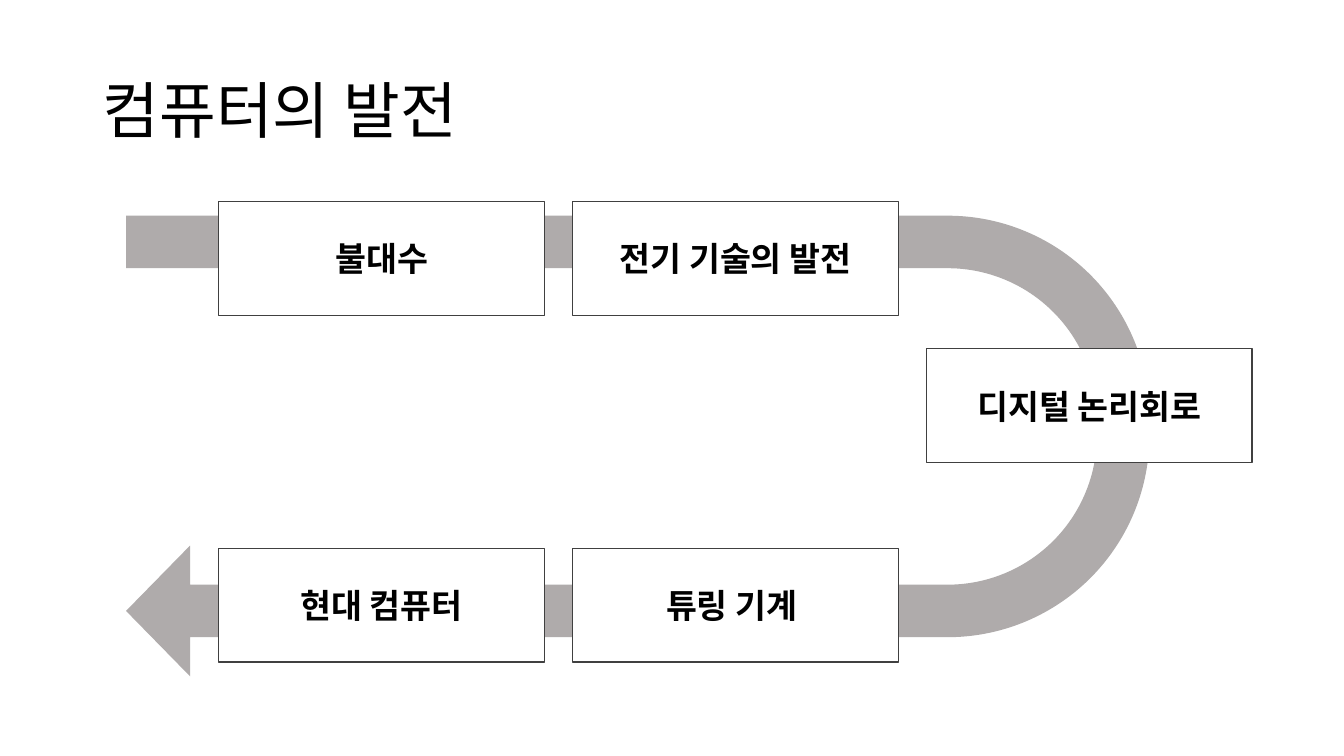
from lxml import etree
from pptx import Presentation
from pptx.dml.color import RGBColor
from pptx.enum.shapes import MSO_SHAPE
from pptx.enum.text import MSO_ANCHOR, MSO_AUTO_SIZE, PP_ALIGN
from pptx.oxml.ns import qn
from pptx.util import Inches, Pt

LEFT, CENTER = PP_ALIGN.LEFT, PP_ALIGN.CENTER
MIDDLE = MSO_ANCHOR.MIDDLE
NO_AUTOFIT = MSO_AUTO_SIZE.NONE
RECTANGLE, UTURN_ARROW = MSO_SHAPE.RECTANGLE, MSO_SHAPE.U_TURN_ARROW

FONT = "Noto Sans CJK KR"
TITLE_ONLY = 5


def color(hex_value):
    return RGBColor.from_string(hex_value)


def write(shape, text, size=24, bold=False, align=CENTER, spacing=1.0):
    frame = shape.text_frame
    frame.word_wrap = True
    frame.auto_size = NO_AUTOFIT
    frame.vertical_anchor = MIDDLE
    paragraph = frame.paragraphs[0]
    paragraph.alignment = align
    paragraph.line_spacing = spacing
    run = paragraph.add_run()
    run.text = text
    run.font.size = Pt(size)
    run.font.bold = bold
    run.font.color.rgb = color("000000")
    run.font.name = FONT
    # Korean glyphs take the East Asian font
    etree.SubElement(run.font._element, qn("a:ea"), typeface=FONT)


deck = Presentation()
deck.slide_width, deck.slide_height = Inches(13.33), Inches(7.5)
slide = deck.slides.add_slide(deck.slide_layouts[TITLE_ONLY])

# Title
title = slide.shapes.title
title.left, title.top = Inches(0.92), Inches(0.4)
title.width, title.height = Inches(11.5), Inches(1.45)
write(title, "컴퓨터의 발전", size=44, align=LEFT, spacing=0.9)

# Path that turns back on itself behind the steps
path_arrow = slide.shapes.add_shape(
    UTURN_ARROW, Inches(4.04), Inches(-0.65), Inches(4.57), Inches(10.15))
path_arrow.rotation = 90
path_arrow.shadow.inherit = False
path_arrow.fill.solid()
path_arrow.fill.fore_color.rgb = color("AFABAB")
path_arrow.line.fill.background()
for index, ratio in enumerate((0.114, 0.142, 0.139, 0.438, 1)):
    path_arrow.adjustments[index] = ratio

# Steps along the path: text, column, top
steps = [
    ("불대수", 0, 2),
    ("전기 기술의 발전", 1, 2),
    ("디지털 논리회로", 2, 3.46),
    ("튜링 기계 ", 1, 5.44),
    ("현대 컴퓨터", 0, 5.44),
]
first_left, column_pitch = 2.17, 3.51
for text, column, top in steps:
    step = slide.shapes.add_shape(
        RECTANGLE, Inches(first_left + column * column_pitch), Inches(top),
        Inches(3.23), Inches(1.13))
    step.shadow.inherit = False
    step.fill.solid()
    step.fill.fore_color.rgb = color("FFFFFF")
    step.line.color.rgb = color("404040")
    step.line.width = Pt(1)
    write(step, text, bold=True)

deck.save("out.pptx")
